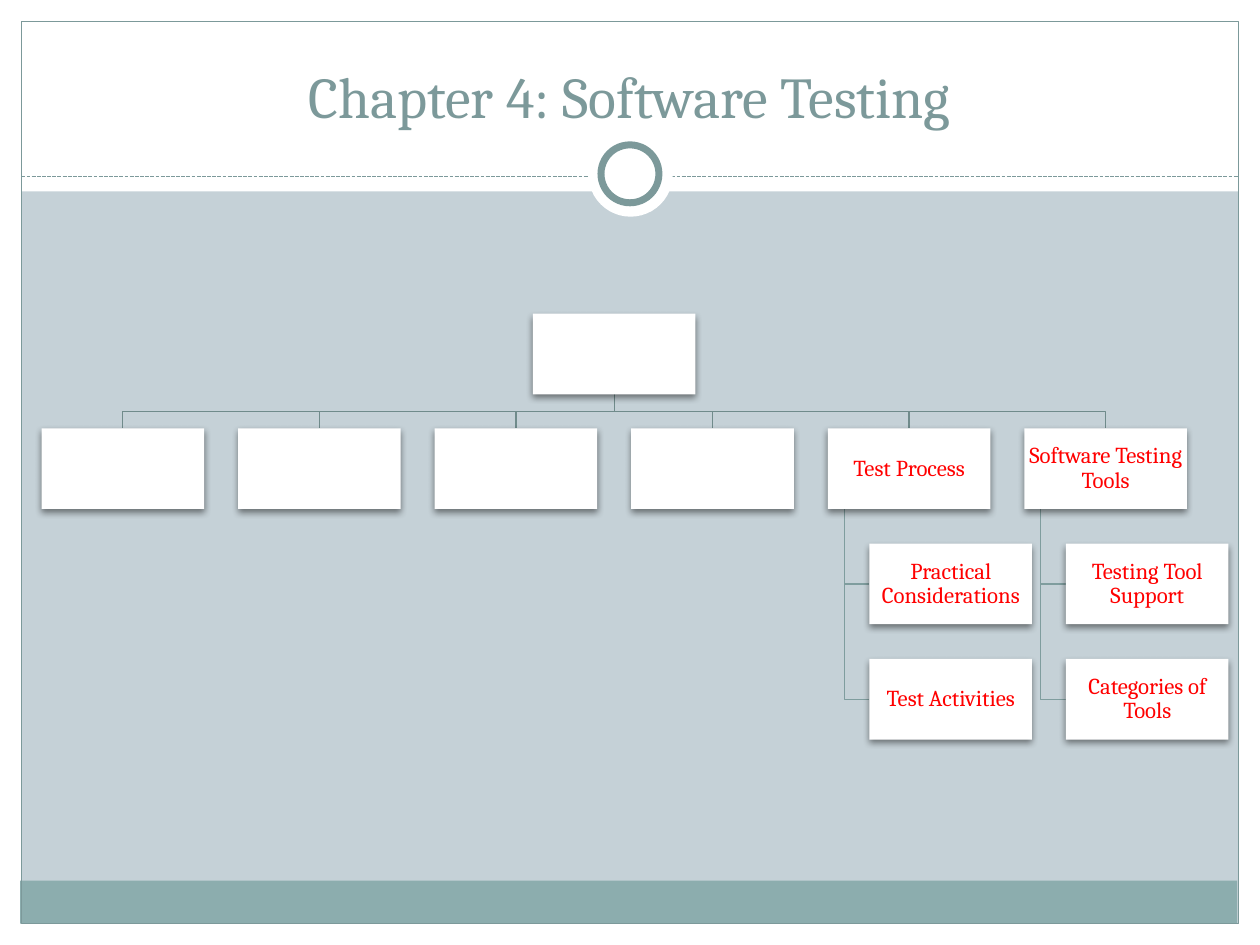
from dataclasses import dataclass, field
from typing import Any

from lxml.etree import SubElement
from pptx import Presentation
from pptx.dml.color import RGBColor
from pptx.enum.dml import MSO_LINE
from pptx.enum.shapes import MSO_CONNECTOR, MSO_SHAPE
from pptx.enum.text import MSO_ANCHOR, MSO_AUTO_SIZE, PP_ALIGN
from pptx.oxml.ns import qn
from pptx.util import Inches, Pt

WHITE, TEAL, BAND, MIST, RED = "FFFFFF", "7C999A", "8CADAE", "C5D1D7", "FF0000"
TRUNK, BRANCH = "708B8B", "7F9D9E"
FONT = "Cambria"
BOX_W, BOX_H = 1.29, 0.64
COL_LEFT, COL_STEP = 0.33, 1.56
ROOT_LEFT, ROOT_TOP = 4.23, 2.49
ROW_TOP, ROW_STEP = 3.4, 0.915
CHILD_INDENT, STEM_INDENT = 0.33, 0.13

TITLE_FRAME = {"vertical_anchor": MSO_ANCHOR.BOTTOM, "auto_size": MSO_AUTO_SIZE.NONE, "word_wrap": True}
BOX_FRAME = {
    "vertical_anchor": MSO_ANCHOR.MIDDLE,
    "word_wrap": True,
    **{f"margin_{side}": Inches(0.01) for side in ("left", "top", "right", "bottom")},
}


@dataclass(frozen=True)
class Panel:
    """A decorative shape of the slide frame."""

    left: float
    top: float
    width: float
    height: float
    fill: str | None = WHITE
    line: str | None = None
    weight: float = 0.75
    preset: MSO_SHAPE = MSO_SHAPE.RECTANGLE


@dataclass(frozen=True)
class Topic:
    """A chart column headed by a topic with its subtopics."""

    label: str = ""
    subtopics: list[str] = field(default_factory=list)


BACKDROP = [
    Panel(0, 7.33, 10, 0.17),
    Panel(0, 0, 10, 1.52),
    Panel(0, 0, 0.17, 7.5),
    Panel(9.83, 0, 0.17, 7.5),
    Panel(0.16, 6.99, 9.66, 0.34, BAND),
    Panel(0.17, 0.17, 9.66, 7.16, None, TEAL),
]
MEDALLION = [
    Panel(4.67, 1.05, 0.67, 0.67, preset=MSO_SHAPE.OVAL),
    Panel(4.77, 1.15, 0.46, 0.46, line=TEAL, weight=4, preset=MSO_SHAPE.OVAL),
]
TOPICS = [Topic() for _ in range(4)] + [
    Topic("Test Process", ["Practical Considerations", "Test Activities"]),
    Topic("Software Testing Tools", ["Testing Tool Support", "Categories of Tools"]),
]


def color(code: str) -> RGBColor:
    """Turn a hex string into a colour."""
    return RGBColor.from_string(code)


def apply(target: Any, values: dict[str, Any]) -> None:
    """Set each named attribute on the target."""
    for name, value in values.items():
        setattr(target, name, value)


def paint(shape: Any, fill: str | None, line: str | None, weight: float = 0.75) -> None:
    """Give a shape its fill and outline without a shadow."""
    shape.shadow.inherit = False
    if fill:
        shape.fill.solid()
        shape.fill.fore_color.rgb = color(fill)
    else:
        shape.fill.background()
    if line:
        shape.line.color.rgb = color(line)
        shape.line.width = Pt(weight)
    else:
        shape.line.fill.background()


def write(shape: Any, text: str, size: float, ink: str, frame: dict[str, Any], spacing: float) -> None:
    """Write centred text into a shape."""
    apply(shape.text_frame, frame)
    paragraph = shape.text_frame.paragraphs[0]
    apply(paragraph, {"alignment": PP_ALIGN.CENTER, "line_spacing": spacing})
    run = paragraph.add_run()
    apply(run, {"text": text})
    apply(run.font, {"name": FONT, "size": Pt(size)})
    run.font.color.rgb = color(ink)


def add_panel(slide: Any, panel: Panel) -> Any:
    """Draw one panel."""
    bounds = map(Inches, (panel.left, panel.top, panel.width, panel.height))
    shape = slide.shapes.add_shape(panel.preset, *bounds)
    paint(shape, panel.fill, panel.line, panel.weight)
    return shape


def add_divider(slide: Any) -> None:
    """Draw the dashed line below the title."""
    divider = slide.shapes.add_connector(
        MSO_CONNECTOR.STRAIGHT, *map(Inches, (0.17, 1.4, 9.83, 1.4))
    )
    divider.line.color.rgb = color(TEAL)
    apply(divider.line, {"width": Pt(0.75), "dash_style": MSO_LINE.SQUARE_DOT})
    SubElement(divider.element.spPr, qn("a:effectLst"))


def add_route(slide: Any, points: list[tuple[float, float]], line: str) -> None:
    """Draw an open angled line through the points."""
    start, *rest = [(Inches(x), Inches(y)) for x, y in points]
    builder = slide.shapes.build_freeform(*start)
    builder.add_line_segments(rest, close=False)
    paint(builder.convert_to_shape(), None, line)


def add_box(slide: Any, left: float, top: float, label: str = "") -> None:
    """Draw a chart box with a soft shadow and an optional label."""
    box = add_panel(slide, Panel(left, top, BOX_W, BOX_H))
    effects = box.element.spPr.find(qn("a:effectLst"))
    shadow = SubElement(
        effects, qn("a:outerShdw"), blurRad=str(Pt(4)), dist=str(Pt(2)), dir="5400000", rotWithShape="0"
    )
    black = SubElement(shadow, qn("a:srgbClr"), val="000000")
    SubElement(black, qn("a:alpha"), val="45000")
    if label:
        write(box, label, 13, RED, BOX_FRAME, 0.9)


def add_chart_tree(slide: Any) -> None:
    """Draw the topic tree, its lines behind its boxes."""
    root_x, root_bottom = ROOT_LEFT + BOX_W / 2, ROOT_TOP + BOX_H
    bend_y = (root_bottom + ROW_TOP) / 2
    boxes = [(ROOT_LEFT, ROOT_TOP, "")]
    for column, topic in enumerate(TOPICS):
        left = COL_LEFT + column * COL_STEP
        middle, stem = left + BOX_W / 2, left + STEM_INDENT
        trunk = [(root_x, root_bottom), (root_x, bend_y), (middle, bend_y), (middle, ROW_TOP)]
        add_route(slide, trunk, TRUNK)
        boxes.append((left, ROW_TOP, topic.label))
        for row, subtopic in enumerate(topic.subtopics, start=1):
            child_left, child_top = left + CHILD_INDENT, ROW_TOP + row * ROW_STEP
            child_y = child_top + BOX_H / 2
            add_route(slide, [(stem, ROW_TOP + BOX_H), (stem, child_y), (child_left, child_y)], BRANCH)
            boxes.append((child_left, child_top, subtopic))
    for box in boxes:
        add_box(slide, *box)


def main() -> None:
    """Build and save the slide."""
    deck = Presentation()
    apply(deck, {"slide_width": Inches(10), "slide_height": Inches(7.5)})
    slide = deck.slides.add_slide(deck.slide_layouts[5])
    slide.background.fill.solid()
    slide.background.fill.fore_color.rgb = color(MIST)
    for panel in BACKDROP:
        add_panel(slide, panel)
    add_divider(slide)
    for panel in MEDALLION:
        add_panel(slide, panel)
    title = slide.shapes.title
    place = {"left": 0.33, "top": 0.25, "width": 9.33, "height": 0.83}
    apply(title, {name: Inches(length) for name, length in place.items()})
    write(title, "Chapter 4: Software Testing", 33, TEAL, TITLE_FRAME, 1.0)
    slide.shapes.element.append(title.element)
    add_chart_tree(slide)
    deck.save("out.pptx")


if __name__ == "__main__":
    main()
